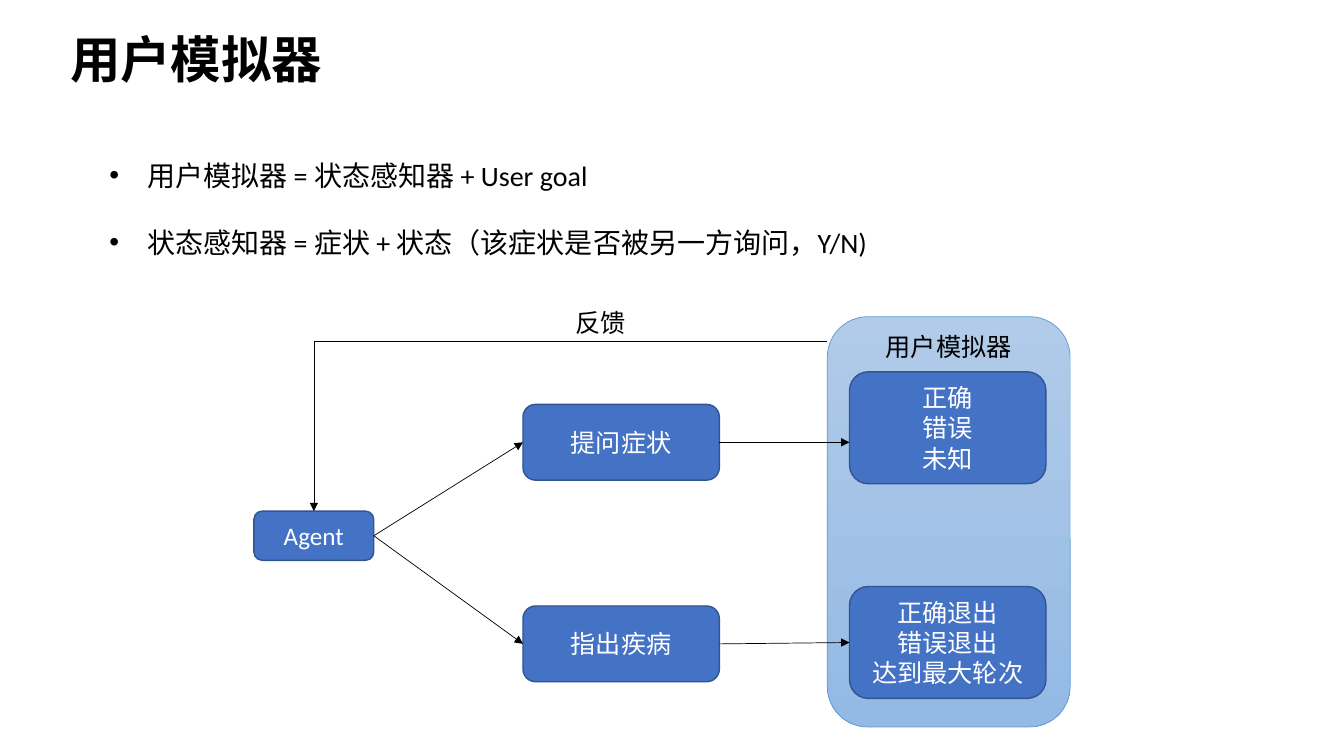
import pptx
import pptx.util
import pptx.dml.color
import pptx.enum.shapes
import pptx.enum.text
import pptx.oxml.ns
import lxml.etree

Cm = pptx.util.Cm
Pt = pptx.util.Pt
ALIGN = pptx.enum.text.PP_ALIGN
ANCHOR = pptx.enum.text.MSO_ANCHOR
TOP, LEFT, RIGHT = 0, 1, 3
COLORS = {
    "ink": "000000",
    "paper": "FFFFFF",
    "node": "4472C4",
    "node_edge": "325491",
    "panel_top": "B1CBE9",
    "panel_bottom": "93B9E4",
    "panel_edge": "5B9BD5",
}


def color(name):
    return pptx.dml.color.RGBColor.from_string(COLORS[name])


def write(shape, lines, size, ink="ink", face="Calibri", align=ALIGN.CENTER, bold=False):
    frame = shape.text_frame
    frame.word_wrap = True
    frame.text = "\n".join(lines)
    for para in frame.paragraphs:
        para.alignment = align
        para.font.size = Pt(size)
        para.font.name = face
        para.font.bold = bold
        para.font.color.rgb = color(ink)
    return frame


def add_text(page, box, lines, size, **style):
    shape = page.shapes.add_textbox(*map(Cm, box))
    return write(shape, lines, size, **style)


def add_rounded(page, box, edge, weight):
    shape = page.shapes.add_shape(
        pptx.enum.shapes.MSO_SHAPE.ROUNDED_RECTANGLE, *map(Cm, box))
    shape.shadow.inherit = False
    shape.line.color.rgb = color(edge)
    shape.line.width = Pt(weight)
    return shape


def add_node(page, box, lines):
    shape = add_rounded(page, box, "node_edge", 1)
    shape.fill.solid()
    shape.fill.fore_color.rgb = color("node")
    frame = write(shape, lines, 18, ink="paper")
    frame.vertical_anchor = ANCHOR.MIDDLE
    frame.margin_top = frame.margin_bottom = 0
    return shape


def add_line(page, start, end, arrow=True):
    line = page.shapes.add_connector(
        pptx.enum.shapes.MSO_CONNECTOR.STRAIGHT, *map(Cm, start + end))
    line.line.color.rgb = color("ink")
    line.line.width = Pt(0.5)
    if arrow:
        lxml.etree.SubElement(line.line._get_or_add_ln(),
                              pptx.oxml.ns.qn("a:tailEnd"), type="triangle")
    lxml.etree.SubElement(line._element.spPr, pptx.oxml.ns.qn("a:effectLst"))
    return line


def join(page, source, source_side, target, target_side):
    line = add_line(page, (0, 0), (1, 1))
    line.begin_connect(source, source_side)
    line.end_connect(target, target_side)


def add_title(page, box):
    frame = add_text(page, box, ["用户模拟器"], 36, face="Arial", align=ALIGN.LEFT, bold=True)
    frame.vertical_anchor = ANCHOR.MIDDLE
    frame.paragraphs[0].line_spacing = 0.9


def add_definitions(page, box):
    lines = ["用户模拟器 = 状态感知器 + User goal",
             "状态感知器 = 症状 + 状态（该症状是否被另一方询问，Y/N)"]
    frame = add_text(page, box, lines, 20, align=ALIGN.LEFT)
    for para in frame.paragraphs:
        para.space_after = Pt(24)
        properties = para._p.get_or_add_pPr()
        properties.set("marL", str(Cm(2.22)))
        properties.set("indent", str(-Cm(0.95)))
        for tag, attribute, value in (("a:buFont", "typeface", "Arial"),
                                      ("a:buChar", "char", "•")):
            bullet = properties.makeelement(pptx.oxml.ns.qn(tag), {attribute: value})
            properties.insert_element_before(bullet, "a:tabLst", "a:defRPr", "a:extLst")


def add_simulator(page, box):
    panel = add_rounded(page, box, "panel_edge", 0.5)
    panel.fill.gradient()
    panel.fill.gradient_angle = 270
    for stop, name, position in zip(panel.fill.gradient_stops,
                                    ("panel_top", "panel_bottom"), (0, 1)):
        stop.color.rgb = color(name)
        stop.position = position
    frame = write(panel, ["用户模拟器"], 18)
    frame.vertical_anchor = ANCHOR.TOP
    frame.margin_top = Cm(0.08)


def add_dialogue_loop(page, box):
    left, top, width, height = box
    panel_width = 6.12
    panel_left = left + width - panel_width
    node_width, action_height, outcome_height = 4.95, 1.91, 2.82
    action_left = left + 6.78
    outcome_left = panel_left + 0.56
    agent_width, agent_top = 3.02, top + 5.26
    feedback_y = top + 0.99

    add_simulator(page, (panel_left, top + 0.36, panel_width, height - 0.36))
    agent = add_node(page, (left, agent_top, agent_width, 1.24), ["Agent"])

    branches = [
        ("提问症状", 2.57, ["正确", "错误", "未知"], 1.75),
        ("指出疾病", 7.65, ["正确退出", "错误退出", "达到最大轮次"], 7.16),
    ]
    for label, action_top, results, outcome_top in branches:
        action = add_node(
            page, (action_left, top + action_top, node_width, action_height), [label])
        outcome = add_node(
            page, (outcome_left, top + outcome_top, node_width, outcome_height), results)
        join(page, agent, RIGHT, action, LEFT)
        action_y = top + action_top + action_height / 2
        arrow = add_line(page, (action_left + node_width, action_y), (outcome_left, action_y))
        arrow.begin_connect(action, RIGHT)
        if abs(action_y - top - outcome_top - outcome_height / 2) < 0.1:
            arrow.end_connect(outcome, LEFT)

    corner = (left + agent_width / 2, feedback_y)
    add_line(page, (panel_left, feedback_y), corner, arrow=False)
    add_line(page, corner, (corner[0], agent_top)).end_connect(agent, TOP)
    add_text(page, (left + 7.6, top, 2.26, 1.02), ["反馈"], 18)


def main():
    deck = pptx.Presentation()
    deck.slide_width = Cm(33.87)
    deck.slide_height = Cm(19.05)
    page = deck.slides.add_slide(deck.slide_layouts[6])
    add_title(page, (1.52, 0.74, 24.92, 1.68))
    add_definitions(page, (1.24, 3.86, 29.79, 2.82))
    add_dialogue_loop(page, (6.4, 7.62, 20.57, 10.7))
    deck.save("out.pptx")


if __name__ == "__main__":
    main()
